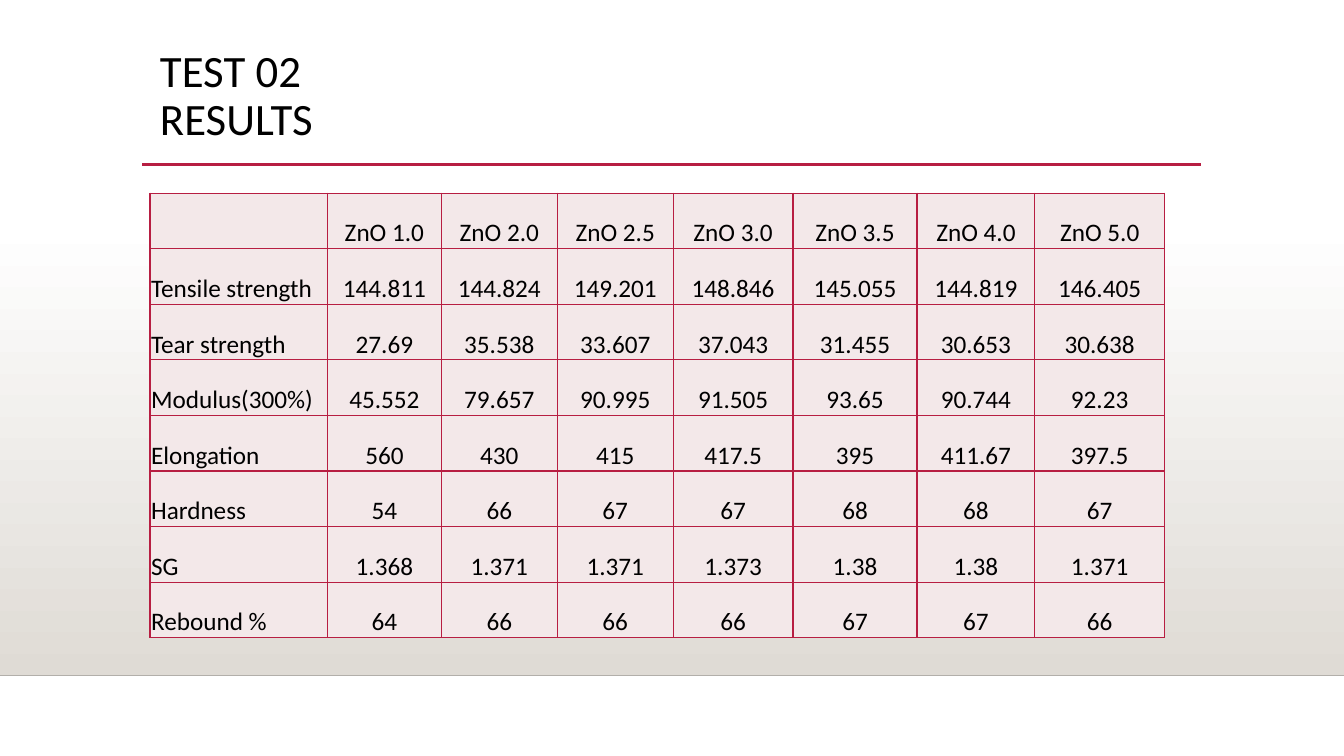
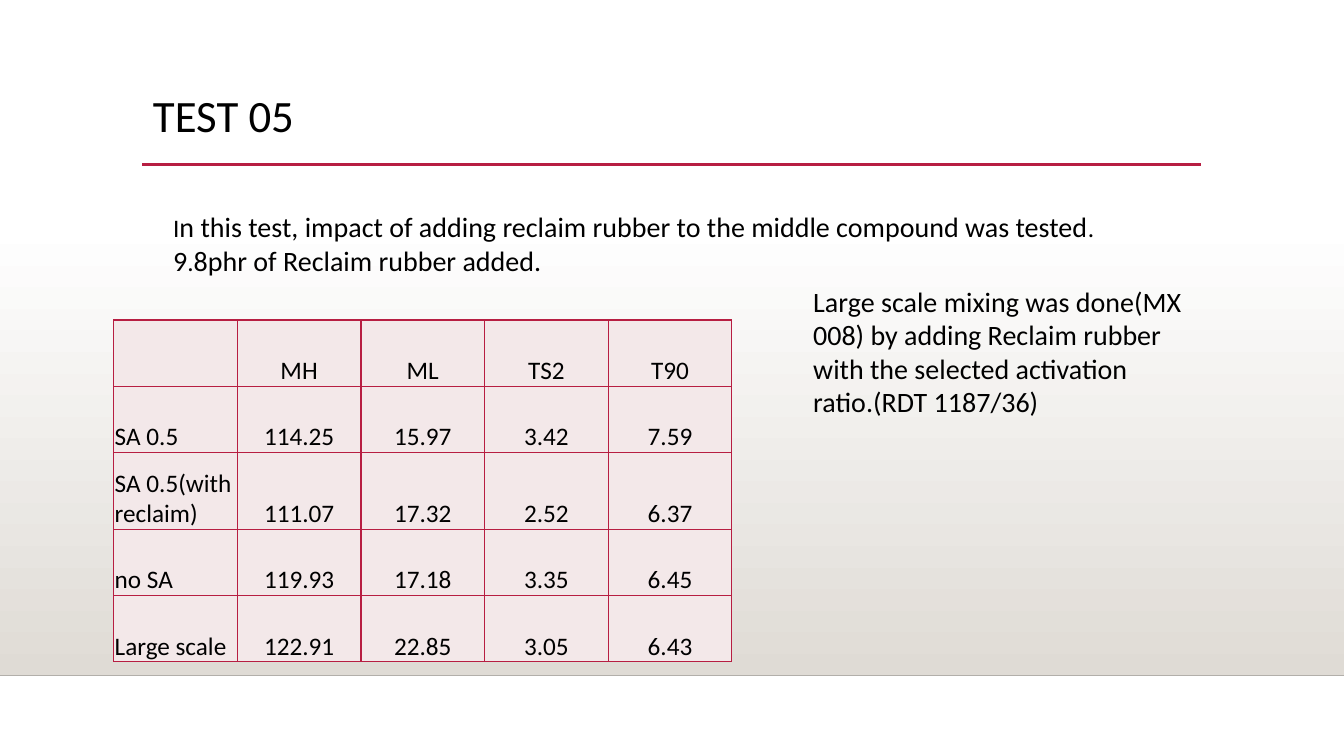
import pptx
import pptx.util
import pptx.dml.color
import pptx.enum.shapes
import pptx.enum.text
import pptx.oxml
from pptx.oxml.ns import qn
from lxml import etree

Pt = pptx.util.Pt
RGB = pptx.dml.color.RGBColor.from_string
Align = pptx.enum.text.PP_ALIGN


class Theme:
    font = "Calibri"
    ink, accent, cell = "000000", "B71E42", "F3E8E9"
    band_top, band_bottom, floor = "FFFFFF", "DFDBD5", "B2AFAA"
    title, body, small = 32, 20, 18
    width, height = 960, 540


# Content: places are left, top, width, height in points
RESULTS = {
    "title": ("TEST 02\vRESULTS", (107.2, 31, 756, 82.8)),
    "table": {
        "at": (107.2, 138),
        "columns": [126.7, 81.4, 82.8, 82.8, 85.6, 88.6, 84.2, 92.6],
        "heights": [39.7] * 8,
        "rows": [
            ["", "ZnO 1.0", "ZnO 2.0", "ZnO 2.5", "ZnO 3.0", "ZnO 3.5", "ZnO 4.0", "ZnO 5.0"],
            ["Tensile strength", "144.811", "144.824", "149.201", "148.846", "145.055", "144.819", "146.405"],
            ["Tear strength", "27.69", "35.538", "33.607", "37.043", "31.455", "30.653", "30.638"],
            ["Modulus(300%)", "45.552", "79.657", "90.995", "91.505", "93.65", "90.744", "92.23"],
            ["Elongation", "560", "430", "415", "417.5", "395", "411.67", "397.5"],
            ["Hardness", "54", "66", "67", "67", "68", "68", "67"],
            ["SG", "1.368", "1.371", "1.371", "1.373", "1.38", "1.38", "1.371"],
            ["Rebound %", "64", "66", "66", "66", "67", "67", "66"],
        ],
    },
    "notes": [],
}
RECLAIM = {
    "title": ("TEST 05", (102.2, 63.4, 756, 82.8)),
    "table": {
        "at": (81.2, 228.6),
        "columns": [88.3] * 5,
        "heights": [47.2, 47.2, 55.3, 47.2, 47.2],
        "rows": [
            ["", "MH", "ML", "TS2", "T90"],
            ["SA 0.5", "114.25", "15.97", "3.42", "7.59"],
            ["SA 0.5(with reclaim)", "111.07", "17.32", "2.52", "6.37"],
            ["no SA", "119.93", "17.18", "3.35", "6.45"],
            ["Large scale", "122.91", "22.85", "3.05", "6.43"],
        ],
    },
    # Each note is a list of (text, size) pieces and a place
    "notes": [
        ([("I", Theme.small),
          ("n this test, impact of adding reclaim rubber to the middle compound was tested", Theme.body),
          (". ", Theme.small), ("9", Theme.body), (".", Theme.small),
          ("8phr of Reclaim rubber added.", Theme.body)],
         (116.6, 146.2, 704.9, 55.4)),
        ([("Large scale mixing was done(MX 008) by adding Reclaim rubber with the "
           "selected activation ratio.(RDT 1187/36)", Theme.body)],
         (573.8, 199.4, 284.4, 104.4)),
    ],
}


def style(paragraph, size):
    paragraph.font.name = Theme.font
    paragraph.font.size = Pt(size)
    paragraph.font.color.rgb = RGB(Theme.ink)


def add_rule(slide, left, right, y, color, weight):
    rule = slide.shapes.add_connector(
        pptx.enum.shapes.MSO_CONNECTOR.STRAIGHT, Pt(left), Pt(y), Pt(right), Pt(y))
    rule.line.color.rgb = RGB(color)
    rule.line.width = Pt(weight)
    etree.SubElement(rule._element.spPr, qn("a:effectLst"))


def add_backdrop(slide):
    top, floor = 159.1, 482.4
    band = slide.shapes.add_shape(
        pptx.enum.shapes.MSO_SHAPE.RECTANGLE, 0, Pt(top), Pt(Theme.width), Pt(floor - top))
    band.shadow.inherit = False
    band.line.fill.background()
    band.fill.gradient()
    band.fill.gradient_angle = 270
    for stop, color in zip(band.fill.gradient_stops, (Theme.band_top, Theme.band_bottom)):
        stop.color.rgb = RGB(color)
    add_rule(slide, 0, Theme.width, floor, Theme.floor, 1)
    add_rule(slide, 101.5, 858.2, 117.4, Theme.accent, 2.5)


def add_text_box(slide, place):
    frame = slide.shapes.add_textbox(*map(Pt, place)).text_frame
    frame.word_wrap = True
    return frame


def add_title(slide, text, place):
    heading = add_text_box(slide, place).paragraphs[0]
    heading.text = text
    heading.line_spacing = 0.9
    style(heading, Theme.title)


def add_note(slide, pieces, place):
    frame = add_text_box(slide, place)
    frame.auto_size = pptx.enum.text.MSO_AUTO_SIZE.SHAPE_TO_FIT_TEXT
    note = frame.paragraphs[0]
    style(note, Theme.body)
    for text, size in pieces:
        run = note.add_run()
        run.text = text
        if size != Theme.body:
            run.font.size = Pt(size)


def add_borders(cell):
    properties = cell._tc.get_or_add_tcPr()
    for side in ("lnL", "lnR", "lnT", "lnB"):
        edge = etree.SubElement(properties, qn("a:" + side), w=str(Pt(1)))
        fill = etree.SubElement(edge, qn("a:solidFill"))
        etree.SubElement(fill, qn("a:srgbClr"), val=Theme.accent)


def add_results(slide, at, columns, heights, rows):
    grid = slide.shapes.add_table(
        len(rows), len(columns), *map(Pt, (*at, sum(columns), sum(heights)))).table
    grid.first_row = grid.horz_banding = False
    for column, width in zip(grid.columns, columns):
        column.width = Pt(width)
    for row, height, values in zip(grid.rows, heights, rows):
        row.height = Pt(height)
        for index, (cell, value) in enumerate(zip(row.cells, values)):
            cell.margin_left = cell.margin_right = cell.margin_top = Pt(0.75)
            cell.margin_bottom = 0
            cell.vertical_anchor = pptx.enum.text.MSO_ANCHOR.BOTTOM
            add_borders(cell)
            cell.fill.solid()
            cell.fill.fore_color.rgb = RGB(Theme.cell)
            entry = cell.text_frame.paragraphs[0]
            entry.text = value
            entry.alignment = Align.CENTER if index else Align.LEFT
            style(entry, Theme.small)


def main():
    deck = pptx.Presentation()
    deck.slide_width, deck.slide_height = Pt(Theme.width), Pt(Theme.height)
    for content in (RESULTS, RECLAIM):
        slide = deck.slides.add_slide(deck.slide_layouts[6])
        add_backdrop(slide)
        add_title(slide, *content["title"])
        add_results(slide, **content["table"])
        for note in content["notes"]:
            add_note(slide, *note)
    deck.save("out.pptx")


if __name__ == "__main__":
    main()
